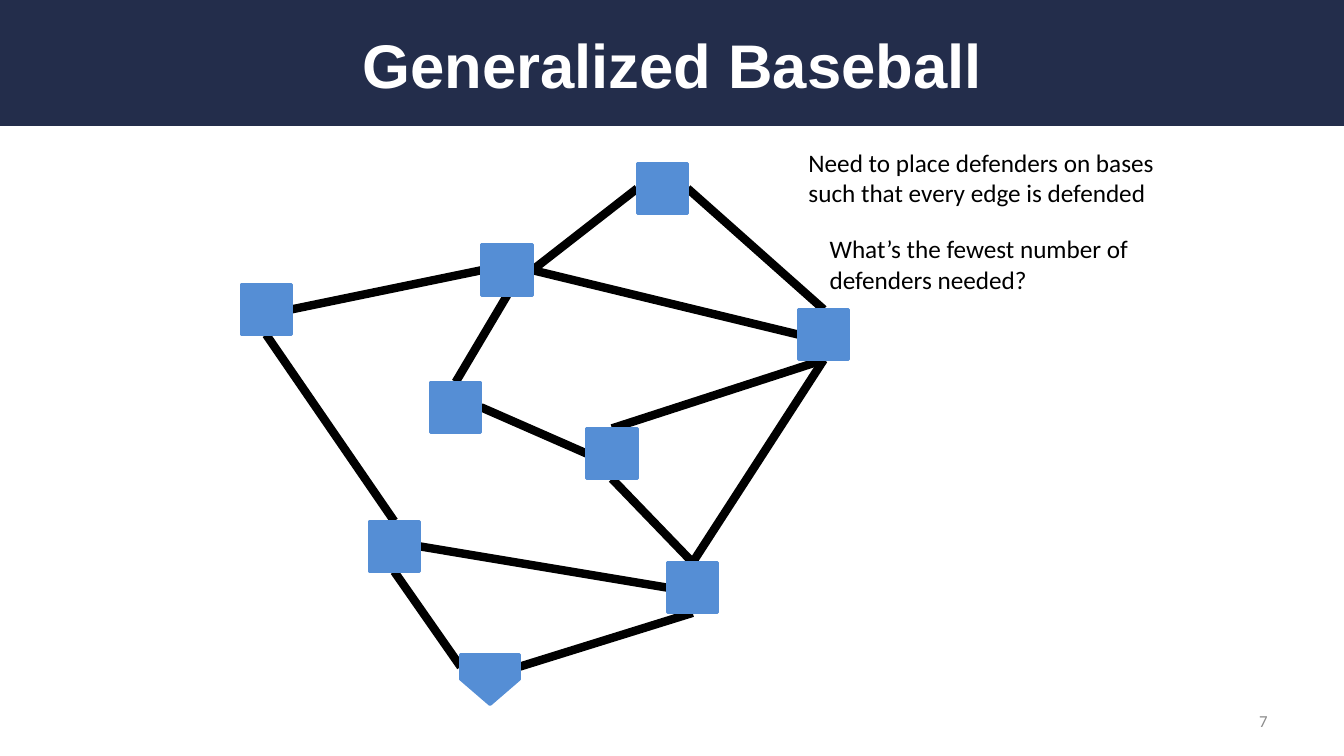
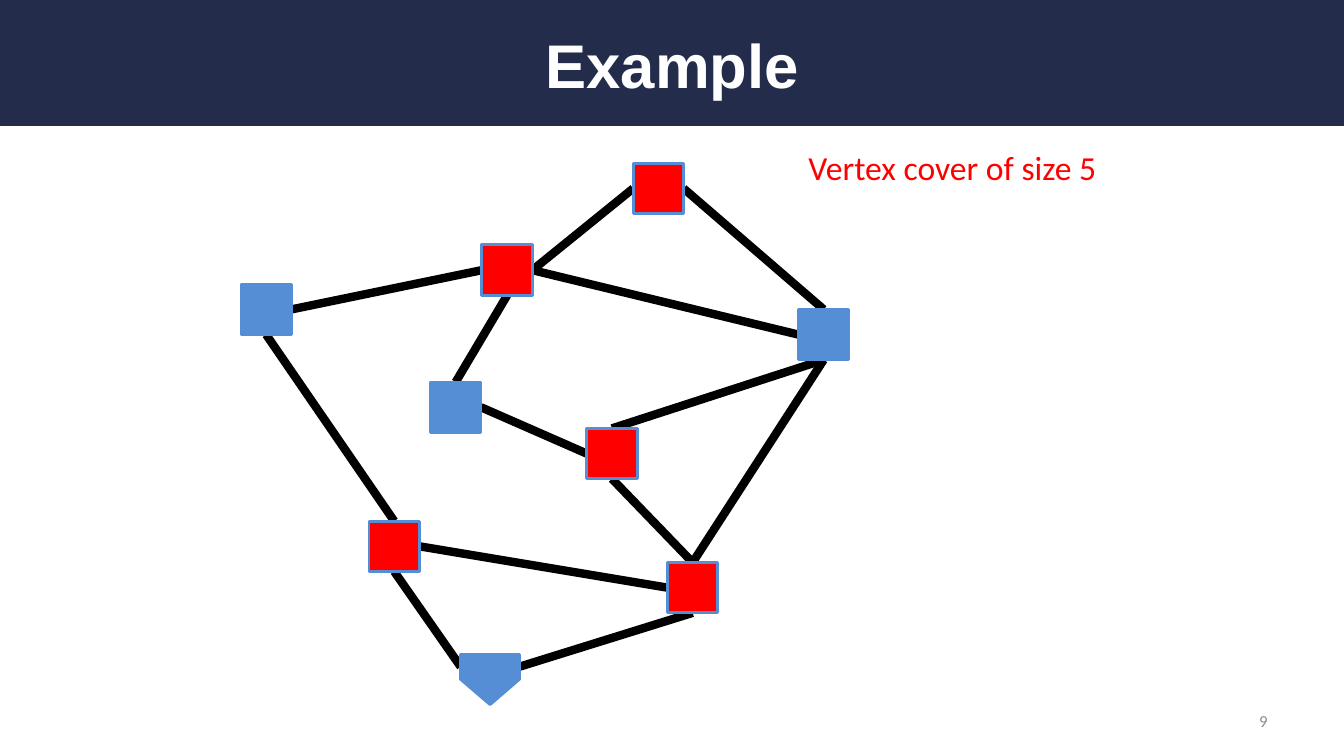
from dataclasses import dataclass

from lxml import etree
from pptx import Presentation
from pptx.dml.color import RGBColor
from pptx.enum import shapes, text
from pptx.oxml import ns
from pptx.util import Inches, Pt


@dataclass(frozen=True)
class Theme:
    navy: str = "232D4B"
    blue: str = "558ED5"
    red: str = "FF0000"
    black: str = "000000"
    white: str = "FFFFFF"
    gray: str = "8C8C8C"
    title_font: str = "Arial"
    body_font: str = "Calibri"
    title_size: int = 44
    answer_size: int = 24
    note_size: int = 18
    number_size: int = 12
    edge_width: int = 6
    outline_width: int = 2


THEME = Theme()
TOP, LEFT, BOTTOM, RIGHT = range(4)
BASE_SIZE = 0.5
HOME_PLATE = (4.57, 6.49, 0.58, 0.25)

# Top left corner of each square base
BASES = {
    "southwest": (3.66, 5.17),
    "southeast": (6.62, 5.58),
    "east": (7.92, 3.07),
    "inner west": (4.27, 3.79),
    "west": (2.39, 2.82),
    "northwest": (4.78, 2.43),
    "inner east": (5.82, 4.25),
    "north": (6.32, 1.62),
}
EDGES = [
    ("home", RIGHT, "southeast", BOTTOM),
    ("southwest", BOTTOM, "home", LEFT),
    ("southeast", LEFT, "southwest", RIGHT),
    ("west", BOTTOM, "southwest", TOP),
    ("west", RIGHT, "northwest", LEFT),
    ("northwest", RIGHT, "east", LEFT),
    ("northwest", BOTTOM, "inner west", TOP),
    ("inner west", RIGHT, "inner east", LEFT),
    ("east", BOTTOM, "inner east", TOP),
    ("northwest", RIGHT, "north", LEFT),
    ("east", TOP, "north", RIGHT),
    ("southeast", TOP, "inner east", BOTTOM),
    ("southeast", TOP, "east", BOTTOM),
]
SLIDES = [
    {
        "title": "Generalized Baseball",
        "number": "7",
        "bases": BASES,
        "cover": set(),
        "notes": [
            ("Need to place defenders on bases such that every edge is defended",
             (7.92, 1.41, 3.75, 0.71), THEME.note_size, THEME.black),
            ("What’s the fewest number of defenders needed?",
             (8.13, 2.27, 3.75, 0.71), THEME.note_size, THEME.black),
        ],
    },
    {
        "title": "Example",
        "number": "9",
        "bases": {**BASES, "north": (6.28, 1.62)},
        "cover": {"southwest", "southeast", "northwest", "inner east", "north"},
        "notes": [
            ("Vertex cover of size 5",
             (7.92, 1.41, 3.75, 0.5), THEME.answer_size, THEME.red),
        ],
    },
]


def inches(*lengths):
    return [Inches(length) for length in lengths]


def rgb(color):
    return RGBColor.from_string(color)


def write(frame, words, size, color, font=THEME.body_font, bold=False,
          align=text.PP_ALIGN.LEFT, anchor=text.MSO_ANCHOR.TOP):
    frame.text = words
    frame.word_wrap = True
    frame.vertical_anchor = anchor
    paragraph = frame.paragraphs[0]
    paragraph.alignment = align
    style = paragraph.runs[0].font
    style.name, style.size, style.bold = font, Pt(size), bold
    style.color.rgb = rgb(color)


def add_filled(slide, preset, place, fill, outline=None):
    shape = slide.shapes.add_shape(preset, *inches(*place))
    shape.shadow.inherit = False
    shape.fill.solid()
    shape.fill.fore_color.rgb = rgb(fill)
    if outline:
        shape.line.color.rgb = rgb(outline)
        shape.line.width = Pt(THEME.outline_width)
    else:
        shape.line.fill.background()
    return shape


def set_up_layout(deck):
    """Put the title position and the navy band on the Title Only layout."""
    layout = deck.slide_layouts[5]
    title = layout.placeholders[0]
    title.left, title.top, title.width, title.height = inches(0.67, 0.17, 12, 0.92)
    # Layouts cannot add shapes, so the band is made on a slide and moved.
    return layout, title


def move_band_to_layout(slide, title):
    band = add_filled(slide, shapes.MSO_SHAPE.RECTANGLE, (0, 0, 13.33, 1.25), THEME.navy)
    title._element.addprevious(band._element)


def add_edge(slide, start, start_side, end, end_side):
    edge = slide.shapes.add_connector(shapes.MSO_CONNECTOR.STRAIGHT, 0, 0, 0, 0)
    edge.begin_connect(start, start_side)
    edge.end_connect(end, end_side)
    edge.line.color.rgb = rgb(THEME.black)
    edge.line.width = Pt(THEME.edge_width)
    etree.SubElement(edge._element.spPr, ns.qn("a:effectLst"))
    return edge


def add_field(slide, bases, cover):
    """Draw the bases, then the edges behind them."""
    left, top, width, height = HOME_PLATE
    tip = add_filled(slide, shapes.MSO_SHAPE.ISOSCELES_TRIANGLE,
                     (left, top + height, width, height), THEME.blue, THEME.blue)
    tip.rotation = 180
    nodes = {"home": add_filled(slide, shapes.MSO_SHAPE.RECTANGLE, HOME_PLATE,
                                THEME.blue, THEME.blue)}
    for name, corner in bases.items():
        fill = THEME.red if name in cover else THEME.blue
        nodes[name] = add_filled(slide, shapes.MSO_SHAPE.RECTANGLE,
                                 (*corner, BASE_SIZE, BASE_SIZE), fill, THEME.blue)
    for start, start_side, end, end_side in EDGES:
        edge = add_edge(slide, nodes[start], start_side, nodes[end], end_side)
        tip._element.addprevious(edge._element)


def add_note(slide, words, place, size, color, **layout):
    box = slide.shapes.add_textbox(*inches(*place))
    write(box.text_frame, words, size, color, **layout)


def main():
    deck = Presentation()
    deck.slide_width, deck.slide_height = inches(13.33, 7.5)
    layout, layout_title = set_up_layout(deck)
    for position, content in enumerate(SLIDES):
        slide = deck.slides.add_slide(layout)
        if position == 0:
            move_band_to_layout(slide, layout_title)
        write(slide.shapes.title.text_frame, content["title"], THEME.title_size,
              THEME.white, THEME.title_font, True,
              text.PP_ALIGN.CENTER, text.MSO_ANCHOR.MIDDLE)
        add_note(slide, content["number"], (9.56, 6.95, 3.11, 0.4),
                 THEME.number_size, THEME.gray,
                 align=text.PP_ALIGN.RIGHT, anchor=text.MSO_ANCHOR.MIDDLE)
        add_field(slide, content["bases"], content["cover"])
        for note in content["notes"]:
            add_note(slide, *note)
    deck.save("out.pptx")


if __name__ == "__main__":
    main()
